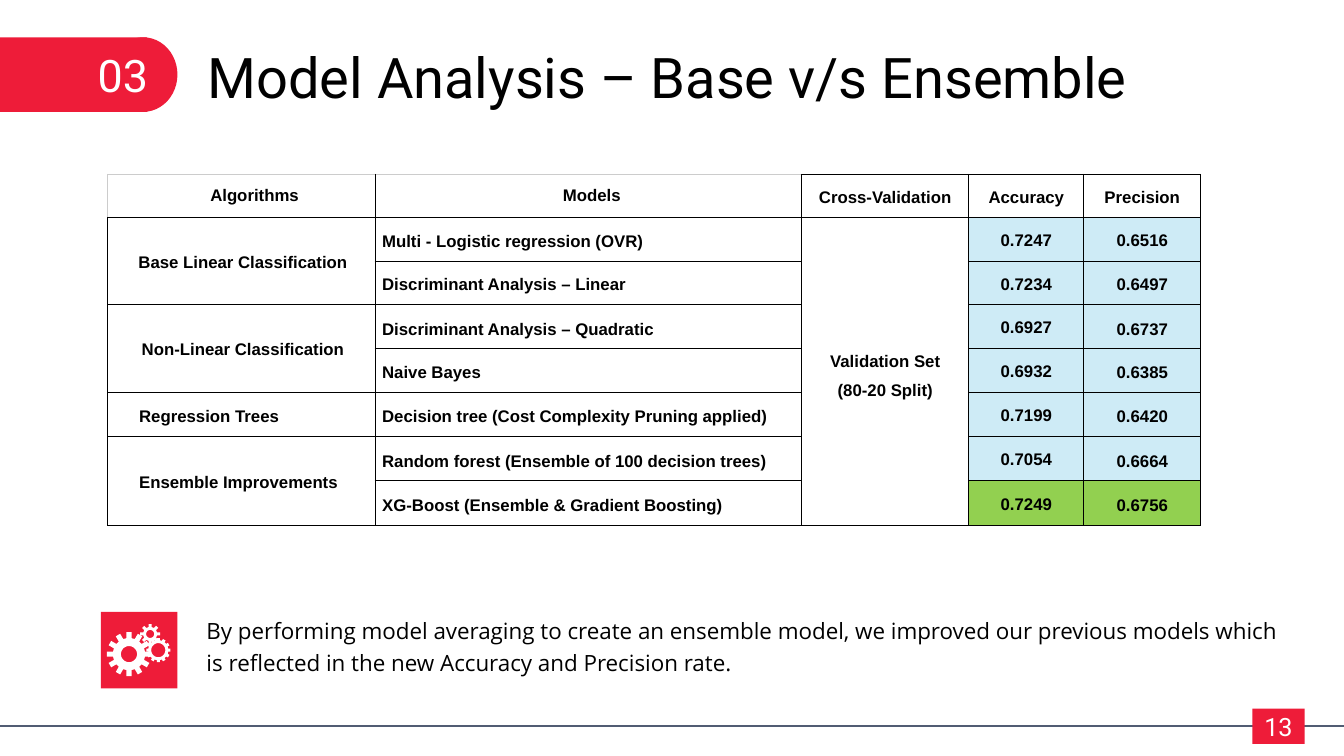
from dataclasses import dataclass
from math import cos, pi, sin

from lxml import etree
from pptx import Presentation
from pptx.dml.color import RGBColor
from pptx.enum import shapes, text
from pptx.oxml import ns
from pptx.util import Inches, Pt


@dataclass(frozen=True)
class Theme:
    red: str = "EE1C39"
    rule: str = "515C73"
    black: str = "000000"
    white: str = "FFFFFF"
    grey: str = "CCCCCC"
    blue: str = "CEEBF6"
    green: str = "92D050"
    heading: str = "Roboto"
    body: str = "Open Sans"
    table: str = "Arial"
    title_size: int = 40
    section_size: int = 32
    page_size: int = 18
    body_size: int = 16
    table_size: int = 12


T = Theme()
LEFT, CENTER = text.PP_ALIGN.LEFT, text.PP_ALIGN.CENTER
TOP, MIDDLE, BOTTOM = (text.MSO_ANCHOR.TOP, text.MSO_ANCHOR.MIDDLE,
                       text.MSO_ANCHOR.BOTTOM)

HEADERS = ["Algorithms", "Models", "Cross-Validation", "Accuracy", "Precision"]
GROUPS = [("Base Linear Classification", 2, CENTER),
          ("Non-Linear Classification", 2, CENTER),
          ("Regression Trees", 1, LEFT),
          ("Ensemble Improvements", 2, LEFT)]
MODELS = [("Multi - Logistic regression (OVR)", "0.7247", "0.6516"),
          ("Discriminant Analysis – Linear", "0.7234", "0.6497"),
          ("Discriminant Analysis – Quadratic", "0.6927", "0.6737"),
          ("Naive Bayes", "0.6932", "0.6385"),
          ("Decision tree (Cost Complexity Pruning applied)", "0.7199", "0.6420"),
          ("Random forest (Ensemble of 100 decision trees)", "0.7054", "0.6664"),
          ("XG-Boost (Ensemble & Gradient Boosting)", "0.7249", "0.6756")]


def rgb(color):
    return RGBColor.from_string(color)


def style_text(tf, font, size, color, align=LEFT, spacing=None, bold=False):
    for p in tf.paragraphs:
        p.alignment = align
        if spacing:
            p.line_spacing = spacing
        for r in p.runs:
            r.font.name, r.font.size, r.font.bold = font, Pt(size), bold
            r.font.color.rgb = rgb(color)


def paint(sp, color):
    sp.shadow.inherit = False
    sp.fill.solid()
    sp.fill.fore_color.rgb = rgb(color)
    sp.line.fill.background()
    return sp


def add_block(s, kind, x, y, w, h):
    sp = s.shapes.add_shape(kind, Inches(x), Inches(y), Inches(w), Inches(h))
    return paint(sp, T.red)


def add_label(s, x, y, w, h, words, font, size, color, spacing=None):
    tf = s.shapes.add_textbox(Inches(x), Inches(y), Inches(w), Inches(h)).text_frame
    tf.word_wrap = True
    tf.text = words
    style_text(tf, font, size, color, spacing=spacing)


def add_section_tab(s, x, y, w, h, number):
    cap = 0.68
    add_block(s, shapes.MSO_SHAPE.RECTANGLE, x, y, w - 0.3, h)
    add_block(s, shapes.MSO_SHAPE.OVAL, x + w - cap, y, cap, h)
    add_label(s, x + 0.89, y + 0.05, 1.25, 0.64, number,
              T.heading, T.section_size, T.white)


def add_title(s, x, y, w, h, words):
    title = s.shapes.title
    title.left, title.top, title.width, title.height = map(Inches, (x, y, w, h))
    tf = title.text_frame
    tf.text = words
    tf.word_wrap = True
    tf.auto_size = text.MSO_AUTO_SIZE.NONE
    tf.vertical_anchor = TOP
    style_text(tf, T.heading, T.title_size, T.black)


def set_borders(cell, **colors):
    tc_pr = cell._tc.get_or_add_tcPr()
    for i, side in enumerate("LRTB"):
        ln = etree.Element(ns.qn(f"a:ln{side}"), w=str(Pt(0.75)))
        fill = etree.SubElement(ln, ns.qn("a:solidFill"))
        etree.SubElement(fill, ns.qn("a:srgbClr"), val=colors.get(side, T.black))
        tc_pr.insert(i, ln)


def fill_cell(cell, words, align=CENTER, anchor=MIDDLE, indent=0.03, spacing=1.15):
    cell.text = words
    cell.vertical_anchor = anchor
    cell.margin_left, cell.margin_right = Inches(indent), Inches(0.03)
    cell.margin_top = cell.margin_bottom = Inches(0.1)
    style_text(cell.text_frame, T.table, T.table_size, T.black, align, spacing, True)


def add_results_table(s, x, y, widths, heights):
    table = s.shapes.add_table(len(heights), len(widths), Inches(x), Inches(y),
                               Inches(sum(widths)), Inches(sum(heights))).table
    table.first_row = table.horz_banding = False
    for column, width in zip(table.columns, widths):
        column.width = Inches(width)
    for row, height in zip(table.rows, heights):
        row.height = Inches(height)

    for col, words in enumerate(HEADERS):
        fill_cell(table.cell(0, col), words, indent=(0.29, 0.1, 0.03, 0.03, 0.03)[col],
                  spacing=1.0 if col < 2 else 1.15)
    for row, (model, accuracy, precision) in enumerate(MODELS, 1):
        fill_cell(table.cell(row, 1), model, LEFT, BOTTOM, 0.07)
        fill_cell(table.cell(row, 3), accuracy)
        fill_cell(table.cell(row, 4), precision, anchor=MIDDLE if row < 3 else BOTTOM)
    row = 1
    for words, span, align in GROUPS:
        cell = table.cell(row, 0)
        if span > 1:
            cell.merge(table.cell(row + span - 1, 0))
        fill_cell(cell, words, align, MIDDLE if span > 1 else BOTTOM,
                  0.06 if align == CENTER else 0.31)
        row += span
    split = table.cell(1, 2)
    split.merge(table.cell(len(MODELS), 2))
    fill_cell(split, "Validation Set\n(80-20 Split)", spacing=1.5)

    for row in range(len(heights)):
        for col in range(len(widths)):
            cell = table.cell(row, col)
            color = T.white
            if row and col > 2:
                color = T.green if row == len(MODELS) else T.blue
            cell.fill.solid()
            cell.fill.fore_color.rgb = rgb(color)
            edges = {"T": T.grey} if row == 0 and col < 2 else {}
            if row == col == 0:
                edges["L"] = T.grey
            set_borders(cell, **edges)


def add_gear(s, x, y, outer, root, hole, teeth, tooth):
    def at(radius, angle):
        return Inches(x + radius * cos(angle)), Inches(y + radius * sin(angle))

    rim = []
    for i in range(teeth):
        angle = 2 * pi * i / teeth
        for radius, side in ((root, -1), (outer, -1), (outer, 1), (root, 1)):
            rim.append(at(radius, angle + side * tooth / 2 / radius))
    bore = [at(hole, -2 * pi * i / 36) for i in range(36)]
    builder = s.shapes.build_freeform(*rim[0])
    builder.add_line_segments(rim[1:])
    builder.move_to(*bore[0])
    builder.add_line_segments(bore[1:])
    paint(builder.convert_to_shape(), T.white)


def add_takeaway(s, x, y, size, words):
    add_block(s, shapes.MSO_SHAPE.RECTANGLE, x, y, size, size)
    add_gear(s, x + 0.28, y + 0.42, 0.22, 0.16, 0.08, 12, 0.05)
    add_gear(s, x + 0.49, y + 0.22, 0.1, 0.07, 0.04, 8, 0.03)
    add_gear(s, x + 0.57, y + 0.38, 0.12, 0.1, 0.07, 12, 0.03)
    add_label(s, x + 0.95, y - 0.05, 10.83, 0.83, words,
              T.body, T.body_size, T.black, 1.2)


def add_footer(s, x, y, w, page):
    line = s.shapes.add_connector(shapes.MSO_CONNECTOR.STRAIGHT, Inches(x), Inches(y),
                                  Inches(x + w), Inches(y))
    line.line.color.rgb = rgb(T.rule)
    line.line.width = Pt(1.5)
    etree.SubElement(line._element.spPr, ns.qn("a:effectLst"))
    sp = add_block(s, shapes.MSO_SHAPE.RECTANGLE, x + w - 0.91, y - 0.17, 0.52, 0.35)
    sp.text_frame.text = page
    sp.text_frame.vertical_anchor = MIDDLE
    style_text(sp.text_frame, T.heading, T.page_size, T.white, CENTER)


def main():
    prs = Presentation()
    prs.slide_width, prs.slide_height = Inches(13.33), Inches(7.5)
    s = prs.slides.add_slide(prs.slide_layouts[5])
    add_footer(s, 0, 7.2, 13.33, "13")
    add_section_tab(s, -0.02, 0.37, 1.78, 0.74, "03")
    add_title(s, 1.96, 0.37, 10.29, 0.77, "Model Analysis – Base v/s Ensemble")
    add_takeaway(s, 1, 6.07, 0.76,
                 "By performing model averaging to create an ensemble model, we improved "
                 "our previous models which is reflected in the new Accuracy and "
                 "Precision rate.")
    add_results_table(s, 1.07, 1.73, (2.65, 4.23, 1.66, 1.14, 1.16),
                      (0.41, 0.39, 0.39, 0.44, 0.43, 0.44, 0.44, 0.44))
    prs.save("out.pptx")


if __name__ == "__main__":
    main()
